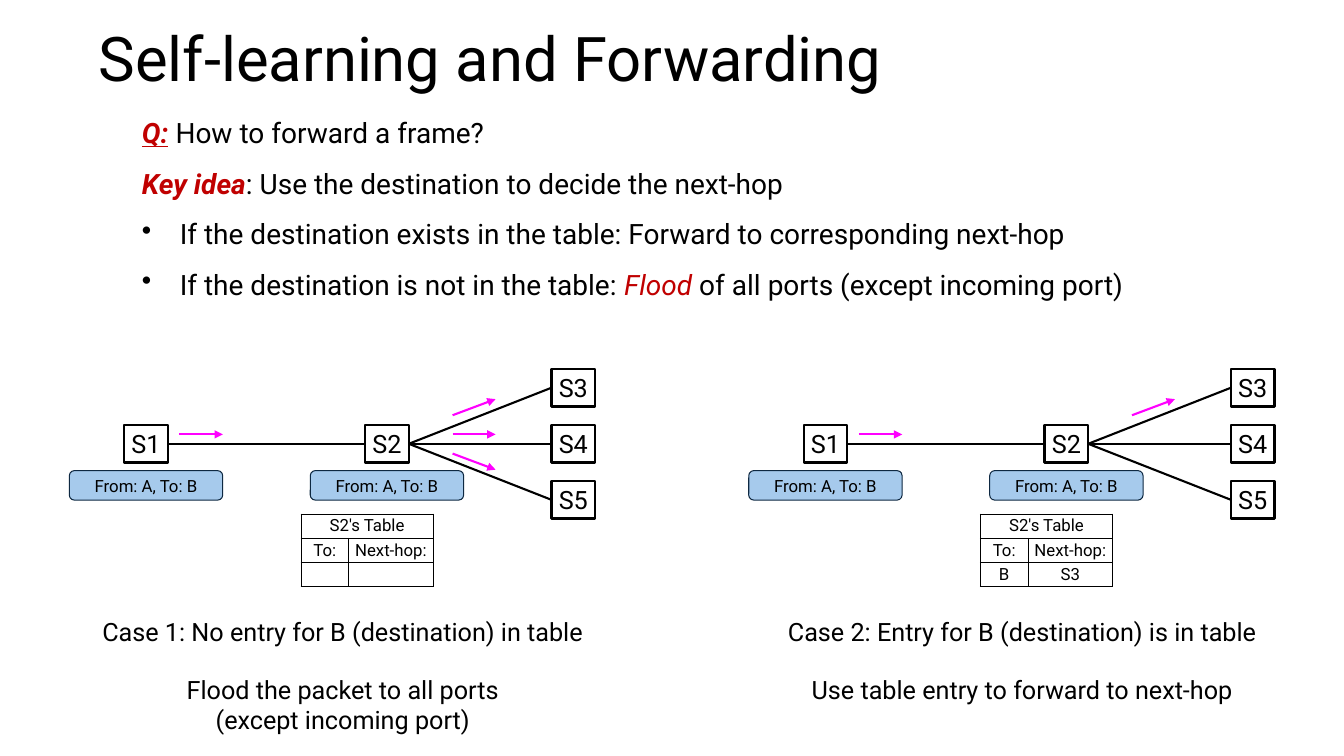
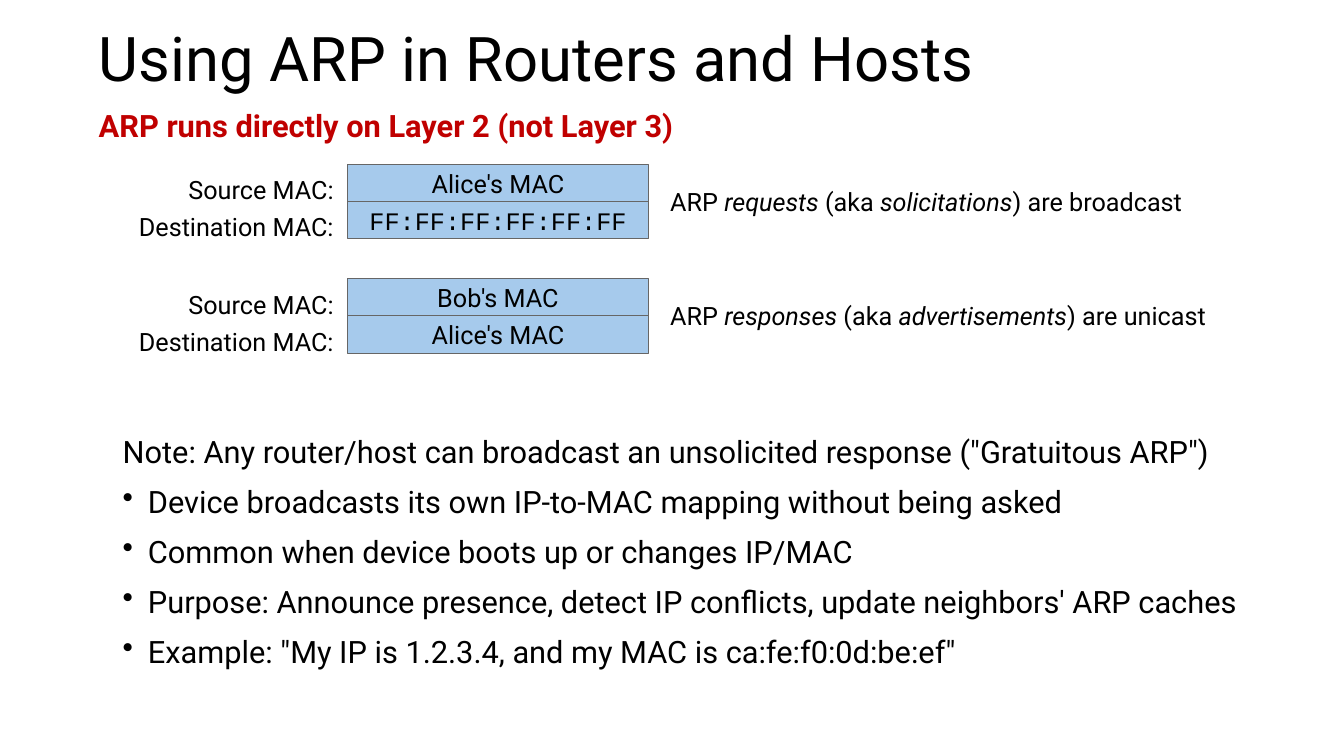
from lxml import etree
from pptx import Presentation
from pptx.dml.color import RGBColor
from pptx.enum.shapes import MSO_CONNECTOR, MSO_SHAPE
from pptx.enum.text import MSO_ANCHOR, PP_ALIGN
from pptx.oxml.ns import qn
from pptx.util import Pt

STRAIGHT = MSO_CONNECTOR.STRAIGHT
RECTANGLE, ROUNDED = MSO_SHAPE.RECTANGLE, MSO_SHAPE.ROUNDED_RECTANGLE
TOP, MIDDLE = MSO_ANCHOR.TOP, MSO_ANCHOR.MIDDLE
LEFT, CENTER, RIGHT = PP_ALIGN.LEFT, PP_ALIGN.CENTER, PP_ALIGN.RIGHT

COLORS = {
    "black": "000000",
    "white": "FFFFFF",
    "red": "C00000",
    "blue": "A6CAEC",
    "navy": "0E2841",
    "gray": "666666",
    "magenta": "FF00FF",
}
FONT, CODE_FONT = "Roboto", "Courier New"
ITALIC = {"italic": True}

# Geometry of the first forwarding case; the second is shifted right.
CASE_SHIFT = 485.3
SWITCH_WIDTH, SWITCH_HEIGHT = 31.2, 26.8
S1_X, S2_X, PORT_X = 104.3, 276.4, 409.5
MIDDLE_Y, PORT_GAP = 317, 40
ARROW_Y = 310.3

# Geometry of the frames with a source and a destination address.
FIELD_HEIGHT = 26.5


def color(name):
    return RGBColor.from_string(COLORS[name])


def add_runs(paragraph, spans, size, default_style=None):
    """Add spans, each a string or a (string, style) pair; newline is a line break."""
    for span in [spans] if isinstance(spans, str) else spans:
        text, style = span if isinstance(span, tuple) else (span, {})
        style = {**(default_style or {}), **style}
        for index, line in enumerate(text.split("\n")):
            if index:
                paragraph.add_line_break()
            run = paragraph.add_run()
            run.text = line
            font = run.font
            font.name = style.get("font", FONT)
            font.size = Pt(size)
            font.bold = style.get("bold", False)
            font.italic = style.get("italic", False)
            font.underline = style.get("underline", False)
            font.color.rgb = color(style.get("color", "black"))


def add_bullet(paragraph, indent):
    properties = paragraph._p.get_or_add_pPr()
    properties.set("marL", str(Pt(indent)))
    properties.set("indent", str(-Pt(indent)))
    etree.SubElement(properties, qn("a:buChar"), char="•")


def set_frame(frame, horizontal, vertical, anchor):
    frame.word_wrap = True
    frame.vertical_anchor = anchor
    frame.margin_left = frame.margin_right = Pt(horizontal)
    frame.margin_top = frame.margin_bottom = Pt(vertical)


def add_text(slide, box, paragraphs, size, align=LEFT, margins=(7.2, 3.6),
             anchor=TOP, before=0, after=0, line_spacing=None, bullet_from=None,
             indent=0, style=None):
    """Add a text box; paragraphs from number bullet_from on have bullets."""
    frame = slide.shapes.add_textbox(*map(Pt, box)).text_frame
    set_frame(frame, *margins, anchor)
    for index, spans in enumerate(paragraphs):
        paragraph = frame.paragraphs[0] if index == 0 else frame.add_paragraph()
        if bullet_from is not None and index >= bullet_from:
            add_bullet(paragraph, indent)
        paragraph.alignment = align
        if index:
            paragraph.space_before = Pt(before)
        paragraph.space_after = Pt(after)
        if line_spacing:
            paragraph.line_spacing = line_spacing
        add_runs(paragraph, spans, size, style)


def add_box(slide, kind, box, text, size, fill, line, line_width, style=None):
    shape = slide.shapes.add_shape(kind, *map(Pt, box))
    shape.shadow.inherit = False
    shape.fill.solid()
    shape.fill.fore_color.rgb = color(fill)
    shape.line.color.rgb = color(line)
    shape.line.width = Pt(line_width)
    set_frame(shape.text_frame, 0, 0, MIDDLE)
    paragraph = shape.text_frame.paragraphs[0]
    paragraph.alignment = CENTER
    add_runs(paragraph, text, size, style)


def add_line(slide, start, end, line="black", arrow=False):
    connector = slide.shapes.add_connector(STRAIGHT, *map(Pt, (*start, *end)))
    connector.line.color.rgb = color(line)
    connector.line.width = Pt(1.5)
    if arrow:
        etree.SubElement(connector.line._get_or_add_ln(), qn("a:tailEnd"), type="triangle")
    etree.SubElement(connector._element.spPr, qn("a:effectLst"))


def add_borders(cell):
    properties = cell._tc.get_or_add_tcPr()
    for side in ("lnL", "lnR", "lnT", "lnB"):
        border = etree.SubElement(properties, qn(f"a:{side}"), w=str(Pt(0.75)))
        fill = etree.SubElement(border, qn("a:solidFill"))
        etree.SubElement(fill, qn("a:srgbClr"), val=COLORS["black"])


def add_forwarding_table(slide, left, top, entry):
    rows = [("S2's Table", ""), ("To:", "Next-hop:"), entry]
    widths, row_height = (34, 60.5), 17.3
    table = slide.shapes.add_table(
        len(rows), len(widths), Pt(left), Pt(top),
        Pt(sum(widths)), Pt(row_height * len(rows))).table
    table.first_row = table.horz_banding = False
    for column, width in zip(table.columns, widths):
        column.width = Pt(width)
    for row_index, row in enumerate(rows):
        table.rows[row_index].height = Pt(row_height)
        for column_index, text in enumerate(row):
            cell = table.cell(row_index, column_index)
            add_borders(cell)
            cell.fill.solid()
            cell.fill.fore_color.rgb = color("white")
            cell.vertical_anchor = MIDDLE
            cell.margin_left = cell.margin_right = 0
            cell.margin_top = cell.margin_bottom = Pt(1.44)
            paragraph = cell.text_frame.paragraphs[0]
            paragraph.alignment = CENTER
            if text:
                add_runs(paragraph, text, 12)
            else:
                paragraph._p.get_or_add_endParaRPr().set("sz", "1200")
    table.cell(0, 0).merge(table.cell(0, 1))


def add_switch(slide, name, center_x, center_y):
    box = (center_x - SWITCH_WIDTH / 2, center_y - SWITCH_HEIGHT / 2,
           SWITCH_WIDTH, SWITCH_HEIGHT)
    add_box(slide, RECTANGLE, box, name, 18, "white", "black", 1.5)


def add_packet(slide, center_x):
    width = 109.5
    box = (center_x - width / 2, 336.2, width, 21)
    add_box(slide, ROUNDED, box, "From: A, To: B", 12, "blue", "navy", 0.75)


def add_case(slide, shift, entry, flooded, caption):
    """Draw a network; flooded lists the ports used, as -1, 0 and 1 from the top."""
    s1, s2, port = (x + shift for x in (S1_X, S2_X, PORT_X))
    half = SWITCH_WIDTH / 2
    add_forwarding_table(slide, 215 + shift, 367.2, entry)
    add_line(slide, (s1 + half, MIDDLE_Y), (s2 - half, MIDDLE_Y))
    add_line(slide, (128.2 + shift, ARROW_Y), (159.2 + shift, ARROW_Y), "magenta", True)
    for name, center_x in (("S1", s1), ("S2", s2)):
        add_switch(slide, name, center_x, MIDDLE_Y)
        add_packet(slide, center_x)
    for name, step in (("S3", -1), ("S4", 0), ("S5", 1)):
        port_y = MIDDLE_Y + step * PORT_GAP
        add_line(slide, (s2 + half, MIDDLE_Y), (port - half, port_y))
        add_switch(slide, name, port, port_y)
    for step in flooded:
        start_y = ARROW_Y + step * 13.7
        add_line(slide, (323.3 + shift, start_y),
                 (354 + shift, start_y + step * 11.5), "magenta", True)
    add_text(slide, (64.1 + shift, 437.8, 361.5, 73.4), caption, 18, CENTER,
             (2.2, 2.2), before=10, after=10)


def add_addressed_frame(slide, top, source, destination, destination_style, comment):
    fields = (("Source MAC:", source, {}),
              ("Destination MAC:", destination, destination_style))
    for index, (label, value, style) in enumerate(fields):
        field_top = top + index * FIELD_HEIGHT
        add_box(slide, RECTANGLE, (248.4, field_top, 214.6, FIELD_HEIGHT), value, 18,
                "blue", "gray", 0.75, style)
        add_text(slide, (91, field_top, 154.5, 36), [label], 18, RIGHT, (7.2, 7.2))
    add_text(slide, (471.6, top + 8.4, 400, 36), [comment], 18, margins=(7.2, 7.2))


def add_titled_slide(presentation, title):
    slide = presentation.slides.add_slide(presentation.slide_layouts[6])
    add_text(slide, (63.4, 15.1, 880.6, 58.3), [title], 44, anchor=MIDDLE,
             line_spacing=0.9)
    return slide


def build_forwarding_slide(presentation):
    slide = add_titled_slide(presentation, "Self-learning and Forwarding")
    key = {"color": "red", "bold": True, "italic": True}
    add_text(slide, (94.3, 79.2, 771, 140.4), [
        [("Q:", {**key, "underline": True}), " How to forward a frame?"],
        [("Key idea", key), ": Use the destination to decide the next-hop"],
        "If the destination exists in the table: Forward to corresponding next-hop",
        ["If the destination is not in the table: ",
         ("Flood", {"color": "red", "italic": True}),
         " of all ports (except incoming port)"],
    ], 20, before=6, after=6, bullet_from=2, indent=27)
    add_case(slide, 0, ("", ""), (-1, 0, 1), [
        "Case 1: No entry for B (destination) in table",
        "Flood the packet to all ports\n(except incoming port)"])
    add_case(slide, CASE_SHIFT, ("B", "S3"), (-1,), [
        "Case 2: Entry for B (destination) is in table",
        "Use table entry to forward to next-hop"])


def build_arp_slide(presentation):
    slide = add_titled_slide(presentation, "Using ARP in Routers and Hosts")
    add_text(slide, (63.4, 73, 428.4, 33.8),
             ["ARP runs directly on Layer 2 (not Layer 3)"], 22,
             style={"color": "red", "bold": True})
    add_addressed_frame(
        slide, 117.4, "Alice's MAC", "FF:FF:FF:FF:FF:FF", {"font": CODE_FONT},
        ["ARP ", ("requests", ITALIC), " (aka ", ("solicitations", ITALIC),
         ") are broadcast"])
    add_addressed_frame(
        slide, 199.2, "Bob's MAC", "Alice's MAC", {},
        ["ARP ", ("responses", ITALIC), " (aka ", ("advertisements", ITALIC),
         ") are unicast"])
    add_text(slide, (80.6, 304.6, 822.2, 202.3), [
        'Note: Any router/host can broadcast an unsolicited response ("Gratuitous ARP")',
        "Device broadcasts its own IP-to-MAC mapping without being asked",
        "Common when device boots up or changes IP/MAC",
        "Purpose: Announce presence, detect IP conflicts, update neighbors' ARP caches",
        'Example: "My IP is 1.2.3.4, and my MAC is ca:fe:f0:0d:be:ef"',
    ], 22, margins=(7.2, 7.2), before=6, after=6, line_spacing=0.9,
        bullet_from=1, indent=18)


def main():
    presentation = Presentation()
    presentation.slide_width, presentation.slide_height = Pt(960), Pt(540)
    build_forwarding_slide(presentation)
    build_arp_slide(presentation)
    presentation.save("out.pptx")


if __name__ == "__main__":
    main()
